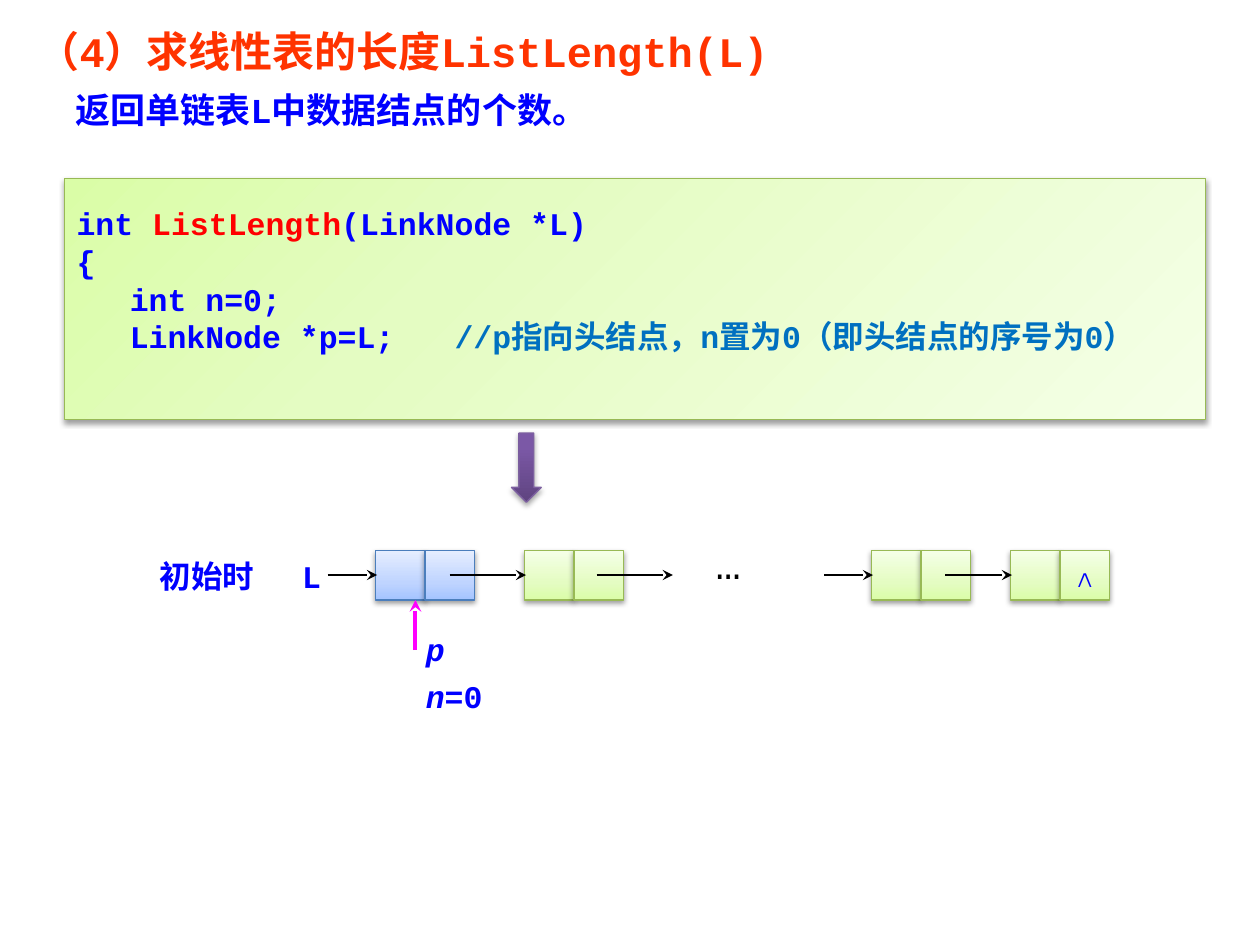
from dataclasses import dataclass

from lxml import etree
from pptx import Presentation
from pptx import util as u
from pptx.dml.color import RGBColor
from pptx.enum import shapes, text
from pptx.oxml import ns

FONT = "Courier New"
COLORS = {
    "title": "FF3300", "blue": "0000FF", "red": "FF0000",
    "comment": "0070C0", "black": "000000", "pointer": "FF00FF",
}


@dataclass(frozen=True)
class Style:
    """Gradient stops (percent, colour), outline and shadow strength."""
    stops: tuple
    outline: str
    shadow_alpha: int = 38


@dataclass(frozen=True)
class Node:
    left: float
    style: Style
    mark: str = ""


@dataclass(frozen=True)
class Arrow:
    start: tuple
    end: tuple
    color: str = "black"
    width: float = 0.75


GREEN = Style(((0, "DAFDA7"), (35, "E4FCC2"), (100, "F5FFE7")), "98B955")
BLUE = Style(((0, "A4C4FF"), (35, "BFD4FF"), (100, "E6EEFF")), "4B7EBC")
PURPLE = Style(((0, "5F4480"), (80, "7B58A6"), (100, "7C57A8")), "7D60A0", 35)

CELL = 28.4
NODE_TOP = 314.6
LINK_Y = 328.6
NODES = [Node(214.5, BLUE), Node(299.6, GREEN), Node(497.9, GREEN),
         Node(577.3, GREEN, "∧")]
LINKS = [(187.2, 215.5), (257, 300.6), (341, 384.5), (470.9, 498.9), (540, 578.3)]


def add_child(parent, tag: str, **attributes):
    return etree.SubElement(parent, ns.qn(tag), attributes)


def add_color(parent, color: str, alpha: int = 100) -> None:
    element = add_child(parent, "a:srgbClr", val=color)
    if alpha < 100:
        add_child(element, "a:alpha", val=str(alpha * 1000))


def add_box(slide, kind, left: float, top: float, width: float, height: float,
            style: Style, angle: float = 90):
    """Shape with a gradient fill, a thin outline and a soft shadow below."""
    shape = slide.shapes.add_shape(
        kind, u.Pt(left), u.Pt(top), u.Pt(width), u.Pt(height))
    shape.fill.gradient()
    shape.fill.gradient_angle = angle
    stop_list = shape._element.spPr.find(".//" + ns.qn("a:gsLst"))
    for old_stop in list(stop_list):
        stop_list.remove(old_stop)
    for position, color in style.stops:
        add_color(add_child(stop_list, "a:gs", pos=str(position * 1000)), color)
    shape.line.color.rgb = RGBColor.from_string(style.outline)
    shape.line.width = u.Pt(0.75)

    shape.shadow.inherit = False
    effects = shape._element.spPr.find(ns.qn("a:effectLst"))
    shadow = add_child(effects, "a:outerShdw", blurRad=str(u.Pt(3.1)),
                       dist=str(u.Pt(1.6)), dir="5400000", rotWithShape="0")
    add_color(shadow, COLORS["black"], style.shadow_alpha)
    return shape


def add_arrow(slide, arrow: Arrow) -> None:
    connector = slide.shapes.add_connector(
        shapes.MSO_CONNECTOR.STRAIGHT, *map(u.Pt, arrow.start + arrow.end))
    connector.line.color.rgb = RGBColor.from_string(COLORS[arrow.color])
    connector.line.width = u.Pt(arrow.width)
    add_child(connector.line._get_or_add_ln(), "a:tailEnd", type="stealth")
    add_child(connector._element.spPr, "a:effectLst")


def add_run(paragraph, content: str, *, size: float = 18, color: str = "blue",
            bold: bool = True, italic: bool = False) -> None:
    run = paragraph.add_run()
    run.text = content
    run.font.name = FONT
    run.font.size = u.Pt(size)
    run.font.bold = bold
    run.font.italic = italic
    run.font.color.rgb = RGBColor.from_string(COLORS[color])


def next_paragraph(frame, indent: float = 0, space_before: float = 0,
                   line_spacing=None, align=text.PP_ALIGN.LEFT):
    """Use the empty first paragraph, then add new ones."""
    paragraph = frame.paragraphs[0]
    if paragraph.runs:
        paragraph = frame.add_paragraph()
    paragraph.alignment = align
    paragraph.space_before = u.Pt(space_before)
    paragraph.line_spacing = line_spacing
    if indent:
        paragraph._p.get_or_add_pPr().set("indent", str(u.Pt(indent)))
    return paragraph


def add_text_frame(slide, left: float, top: float, width: float, height: float):
    box = slide.shapes.add_textbox(*map(u.Pt, (left, top, width, height)))
    box.text_frame.word_wrap = True
    return box.text_frame


def draw_heading(slide) -> None:
    frame = add_text_frame(slide, 14.4, 16.6, 612, 68.4)
    justify = text.PP_ALIGN.JUSTIFY
    add_run(next_paragraph(frame, line_spacing=0.8, align=justify),
            "（4）求线性表的长度ListLength(L)", size=24, color="title")
    add_run(next_paragraph(frame, 21.6, 12, 0.8, justify),
            "返回单链表L中数据结点的个数。", size=20)


def draw_code(slide) -> None:
    box = add_box(slide, shapes.MSO_SHAPE.RECTANGLE, 36.7, 102.2, 652.3, 137.5,
                  GREEN, angle=315)
    frame = box.text_frame
    frame.word_wrap = True
    frame.vertical_anchor = text.MSO_ANCHOR.TOP
    frame.margin_top = frame.margin_bottom = u.Pt(14.4)
    code_lines = [
        (0, [("int ", "blue"), ("ListLength", "red"), ("(LinkNode *L)", "blue")]),
        (0, [("{", "blue")]),
        (30.4, [("int n=0;", "blue")]),
        (30.4, [("LinkNode *p=L;\t", "blue"),
                ("//p指向头结点，n置为0（即头结点的序号为0）", "comment")]),
    ]
    for indent, runs in code_lines:
        paragraph = next_paragraph(frame, indent)
        for content, color in runs:
            add_run(paragraph, content, color=color)


def draw_node(slide, node: Node) -> None:
    """Data cell followed by link cell; the mark stands in the link cell."""
    for column in range(2):
        cell = add_box(slide, shapes.MSO_SHAPE.RECTANGLE,
                       node.left + column * CELL, NODE_TOP, CELL, CELL, node.style)
    if node.mark:
        cell.text_frame.word_wrap = False
        cell.text_frame.vertical_anchor = text.MSO_ANCHOR.MIDDLE
        add_run(next_paragraph(cell.text_frame, align=text.PP_ALIGN.CENTER), node.mark)


def draw_list(slide) -> None:
    for node in NODES:
        draw_node(slide, node)
    for start, end in LINKS:
        add_arrow(slide, Arrow((start, LINK_Y), (end, LINK_Y)))

    # Labels on the row
    for content, left, width in (("初始时", 84.2, 79.2), ("L", 165.6, 20.9)):
        frame = add_text_frame(slide, left, NODE_TOP, width, 28.8)
        add_run(next_paragraph(frame), content)
    frame = add_text_frame(slide, 401.8, 303.8, 56.9, 36)
    add_run(next_paragraph(frame), "…", size=24, color="black", bold=False)

    # Pointer p and counter n
    frame = add_text_frame(slide, 236.2, 360, 66.2, 54.7)
    add_run(next_paragraph(frame, line_spacing=u.Pt(18)), "p", italic=True)
    counter = next_paragraph(frame, space_before=9, line_spacing=u.Pt(18))
    add_run(counter, "n", italic=True)
    add_run(counter, "=0")
    add_arrow(slide, Arrow((237.4, 371.5), (237.4, 342.9), "pointer", 2.25))


def main() -> None:
    presentation = Presentation()
    presentation.slide_width, presentation.slide_height = u.Pt(720), u.Pt(540)
    slide = presentation.slides.add_slide(presentation.slide_layouts[6])
    draw_heading(slide)
    draw_code(slide)
    draw_list(slide)
    # Step from code to list
    add_box(slide, shapes.MSO_SHAPE.DOWN_ARROW, 292.3, 247.4, 17, 39.6, PURPLE)
    presentation.save("out.pptx")


if __name__ == "__main__":
    main()
